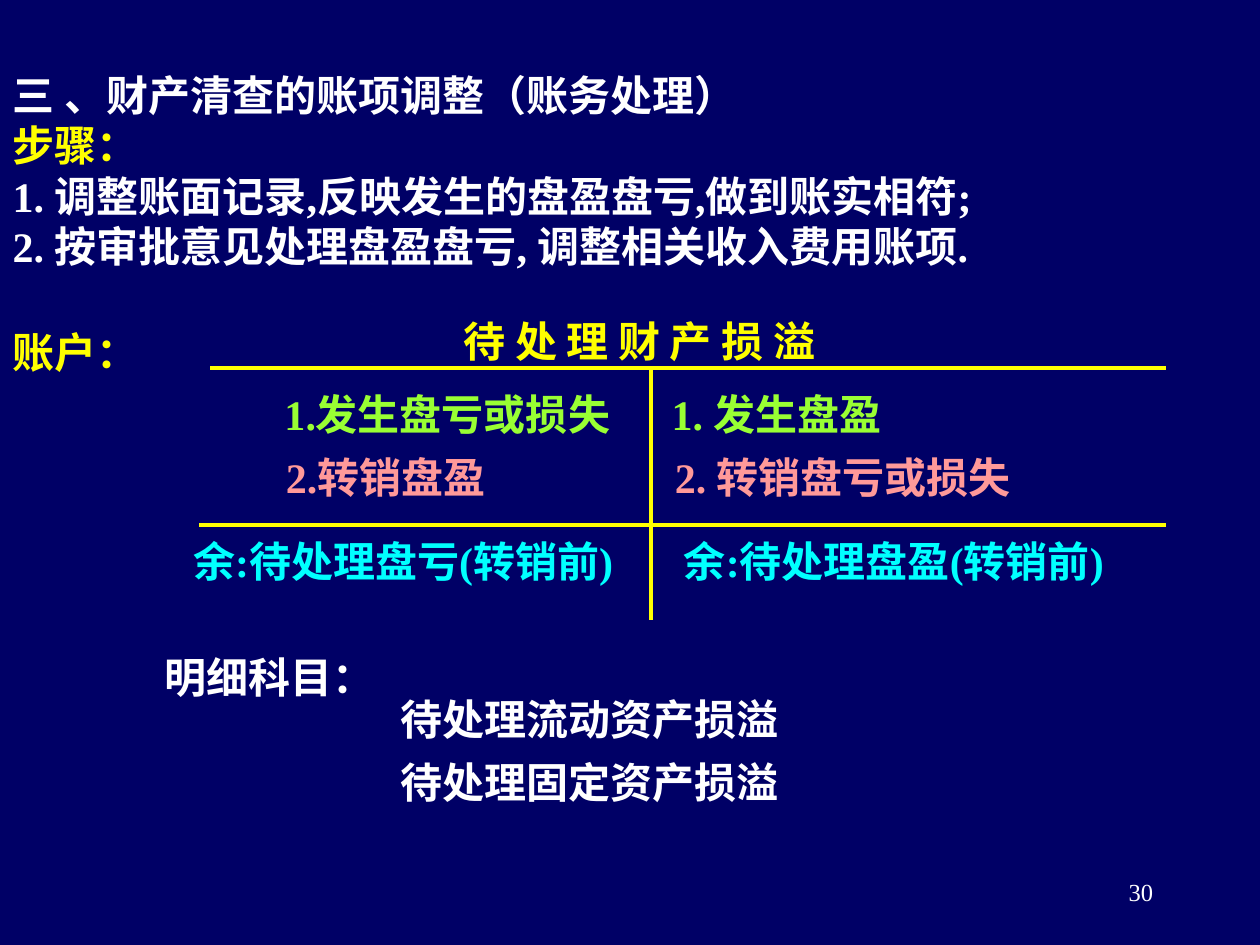
"""Build the slide on booking the results of a property check."""
from pptx import Presentation
from pptx.dml.color import RGBColor
from pptx.enum.shapes import MSO_CONNECTOR as Link
from pptx.enum.text import MSO_ANCHOR as Anchor, MSO_AUTO_SIZE as Fit, PP_ALIGN as Align
from pptx.oxml.ns import qn
from pptx.util import Inches, Pt
from lxml.etree import SubElement

NAVY = RGBColor(0x00, 0x00, 0x66)
WHITE = RGBColor(0xFF, 0xFF, 0xFF)
YELLOW = RGBColor(0xFF, 0xFF, 0x00)
GREEN = RGBColor(0x99, 0xFF, 0x33)
PINK = RGBColor(0xFF, 0x99, 0x99)
CYAN = RGBColor(0x00, 0xFF, 0xFF)
SERIF, SANS = "Times New Roman", "Karla"
WIDE, HIGH = 10, 7.5
ROW = 0.45

STEPS = [
    ("三 、财产清查的账项调整（账务处理）", WHITE, 0),
    ("步骤：", YELLOW, 0),
    ("1. 调整账面记录,反映发生的盘盈盘亏,做到账实相符;", WHITE, 0),
    ("2. 按审批意见处理盘盈盘亏, 调整相关收入费用账项.", WHITE, 0),
    ("账户：", YELLOW, 32),
]
MID, TOP, BASE, END, EDGE = 5.17, 2.92, 4.17, 4.92, 9.25
RULES = [
    (1.67, TOP, EDGE, TOP),
    (MID, TOP, MID, END),
    (1.58, BASE, EDGE, BASE),
]
CENTRED = [
    ("待 处 理 财 产 损 溢", 3.31, 2.5, 3.53, YELLOW, SANS),
    ("1. 发生盘盈", 4.33, 3.08, 3.67, GREEN, SERIF),
    ("1.发生盘亏或损失", 2.07, 3.08, 2.96, GREEN, SERIF),
    ("2. 转销盘亏或损失", 5.19, 3.58, 3, PINK, SERIF),
    ("2.转销盘盈", 2.1, 3.58, 1.92, PINK, SERIF),
    ("余:待处理盘亏(转销前)", 1.21, 4.25, 3.98, CYAN, SERIF),
]
LEFT = [
    ("余:待处理盘盈(转销前)", 5.33, 4.25, 3.83, CYAN),
    ("明细科目：", 1.21, 5.17, 7.12, WHITE),
    ("待处理流动资产损溢", 3.08, 5.5, 6.25, WHITE),
    ("待处理固定资产损溢", 3.08, 6, 6.5, WHITE),
]
PAGE = "30"


def style(para, color, face=SERIF, size=24, bold=True):
    for run in para.runs:
        font = run.font
        font.name, font.size, font.bold = face, Pt(size), bold
        font.color.rgb = color


def label(slide, text, x, y, w, color, face=SERIF, align=Align.LEFT):
    box = slide.shapes.add_textbox(Inches(x), Inches(y), Inches(w), Inches(ROW))
    frame = box.text_frame
    frame.word_wrap = align == Align.LEFT
    frame.margin_top = 0
    frame.text = text
    para = frame.paragraphs[0]
    para.alignment = align
    style(para, color, face)


def rule(slide, *ends):
    line = slide.shapes.add_connector(Link.STRAIGHT, *map(Inches, ends))
    line.line.color.rgb = YELLOW
    line.line.width = Pt(2.25)
    SubElement(line._element.spPr, qn("a:effectLst"))


def steps(body):
    body.left, body.top = 0, Inches(0.5)
    body.width, body.height = Inches(WIDE), Inches(HIGH - 0.5)
    frame = body.text_frame
    frame.auto_size = Fit.NONE
    frame.text = "\n".join(text for text, _, _ in STEPS)
    for para, (_, color, gap) in zip(frame.paragraphs, STEPS):
        props = para._p.get_or_add_pPr()
        props.set("marL", str(Inches(0.38)))
        props.set("indent", str(Inches(-0.38)))
        SubElement(props, qn("a:buNone"))
        para.space_before = Pt(gap)
        style(para, color)


def number(slide):
    box = slide.shapes.add_textbox(Inches(7.17), Inches(6.83), Inches(2.08), Inches(0.5))
    frame = box.text_frame
    frame.word_wrap = True
    frame.vertical_anchor = Anchor.MIDDLE
    frame.text = PAGE
    frame.paragraphs[0].alignment = Align.RIGHT
    style(frame.paragraphs[0], WHITE, size=14, bold=False)


def main():
    deck = Presentation()
    deck.slide_width, deck.slide_height = Inches(WIDE), Inches(HIGH)
    slide = deck.slides.add_slide(deck.slide_layouts[1])
    fill = slide.background.fill
    fill.solid()
    fill.fore_color.rgb = NAVY
    title = slide.shapes.title._element
    title.getparent().remove(title)
    steps(slide.placeholders[1])
    for ends in RULES:
        rule(slide, *ends)
    for item in CENTRED:
        label(slide, *item, align=Align.CENTER)
    for item in LEFT:
        label(slide, *item)
    number(slide)
    deck.save("out.pptx")


if __name__ == "__main__":
    main()
